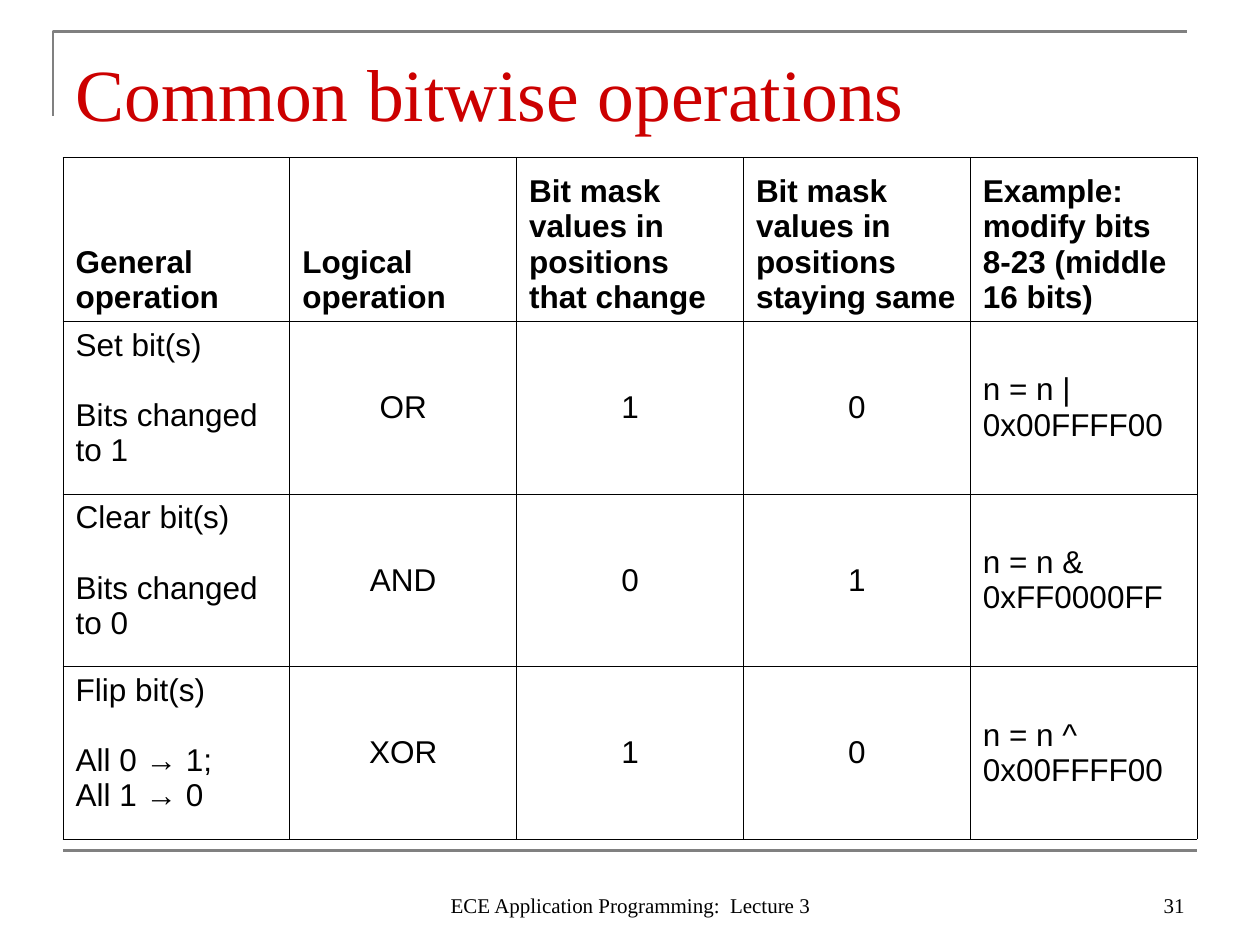
"""Build a slide with a table of common bitwise operations."""
from collections import namedtuple

from lxml.etree import SubElement
from pptx import Presentation
from pptx.dml.color import RGBColor
from pptx.enum.shapes import MSO_CONNECTOR
from pptx.enum.text import MSO_ANCHOR, PP_ALIGN
from pptx.oxml.ns import qn
from pptx.util import Inches, Pt

Theme = namedtuple("Theme", "red black white gray serif sans title body foot rule edge gap")
look = Theme(
    red=RGBColor(0xCC, 0, 0), black=RGBColor(0, 0, 0),
    white=RGBColor(0xFF, 0xFF, 0xFF), gray=RGBColor(0x80, 0x80, 0x80),
    serif="Times New Roman", sans="Arial",
    title=Pt(42), body=Pt(18), foot=Pt(12),
    rule=Pt(1.5), edge=Pt(0.45), gap=Pt(20),
)


def assign(item, form):
    for name, value in form.items():
        setattr(item, name, value)


def write(frame, lines, font, color, align):
    for num, line in enumerate(lines):
        para = frame.paragraphs[0] if num == 0 else frame.add_paragraph()
        para.alignment = align
        run = para.add_run()
        run.text = line
        assign(run.font, font)
        run.font.color.rgb = color


deck = Presentation()
assign(deck, {"slide_width": Inches(10), "slide_height": Inches(7.5)})
slide = deck.slides.add_slide(deck.slide_layouts[6])
shapes = slide.shapes

path = shapes.build_freeform(Inches(0.42), Inches(0.92))
path.add_line_segments(
    [(Inches(0.42), Inches(0.25)), (Inches(9.42), Inches(0.25))], close=False)
frame = path.convert_to_shape()
frame.shadow.inherit = False
frame.fill.background()

rule = shapes.add_connector(
    MSO_CONNECTOR.STRAIGHT, Inches(0.5), Inches(6.75), Inches(9.5), Inches(6.75))
for item in (frame, rule):
    item.line.color.rgb = look.gray
    item.line.width = look.rule
SubElement(rule._element.spPr, qn("a:effectLst"))

texts = [
    ("Common bitwise operations", (0.5, 0.3, 9, 0.78), look.title, look.red, PP_ALIGN.LEFT, 0),
    ("ECE Application Programming:  Lecture 3", (3.42, 6.83, 3.17, 0.5),
     look.foot, look.black, PP_ALIGN.CENTER, 0.05),
    ("31", (7.17, 6.83, 2.33, 0.5), look.foot, look.black, PP_ALIGN.RIGHT, 0.05),
]
for words, place, size, color, align, inset in texts:
    box = shapes.add_textbox(*map(Inches, place)).text_frame
    assign(box, {"word_wrap": True, "vertical_anchor": MSO_ANCHOR.BOTTOM,
                 "margin_bottom": Inches(inset)})
    write(box, [words], {"name": look.serif, "size": size}, color, align)

rows = [
    (["General operation"], "Logical operation", "Bit mask values in positions that change",
     "Bit mask values in positions staying same", "Example: modify bits 8-23 (middle 16 bits)"),
    (["Set bit(s)", "Bits changed to 1"], "OR", "1", "0", "n = n | 0x00FFFF00"),
    (["Clear bit(s)", "Bits changed to 0"], "AND", "0", "1", "n = n & 0xFF0000FF"),
    (["Flip bit(s)", "All 0 → 1;", "All 1 → 0"], "XOR", "1", "0", "n = n ^ 0x00FFFF00"),
]
table = shapes.add_table(
    len(rows), len(rows[0]), Inches(0.5), Inches(1.25), Inches(9), Inches(5.41)).table
assign(table, {"first_row": False, "horz_banding": False})
for col in table.columns:
    col.width = Inches(1.8)

for r, row in enumerate(rows):
    head = r == 0
    table.rows[r].height = Inches(1.3 if head else 1.37)
    for c, words in enumerate(row):
        cell = table.cell(r, c)
        first = c == 0
        anchor = MSO_ANCHOR.BOTTOM if head else MSO_ANCHOR.TOP if first else MSO_ANCHOR.MIDDLE
        assign(cell, {"vertical_anchor": anchor,
                      "margin_left": Inches(0.1), "margin_right": Inches(0.1),
                      "margin_top": Inches(0.05), "margin_bottom": Inches(0.05)})
        props = cell._tc.get_or_add_tcPr()
        for side in ("lnL", "lnR", "lnT", "lnB"):
            edge = SubElement(props, qn(f"a:{side}"), w=str(look.edge))
            fill = SubElement(edge, qn("a:solidFill"))
            SubElement(fill, qn("a:srgbClr"), val=str(look.black))
        cell.fill.solid()
        cell.fill.fore_color.rgb = look.white
        align = PP_ALIGN.CENTER if not head and 0 < c < 4 else PP_ALIGN.LEFT
        write(cell.text_frame, words if first else [words],
              {"name": look.sans, "size": look.body, "bold": head}, look.black, align)
        if first and not head:
            cell.text_frame.paragraphs[1].space_before = look.gap

deck.save("out.pptx")
